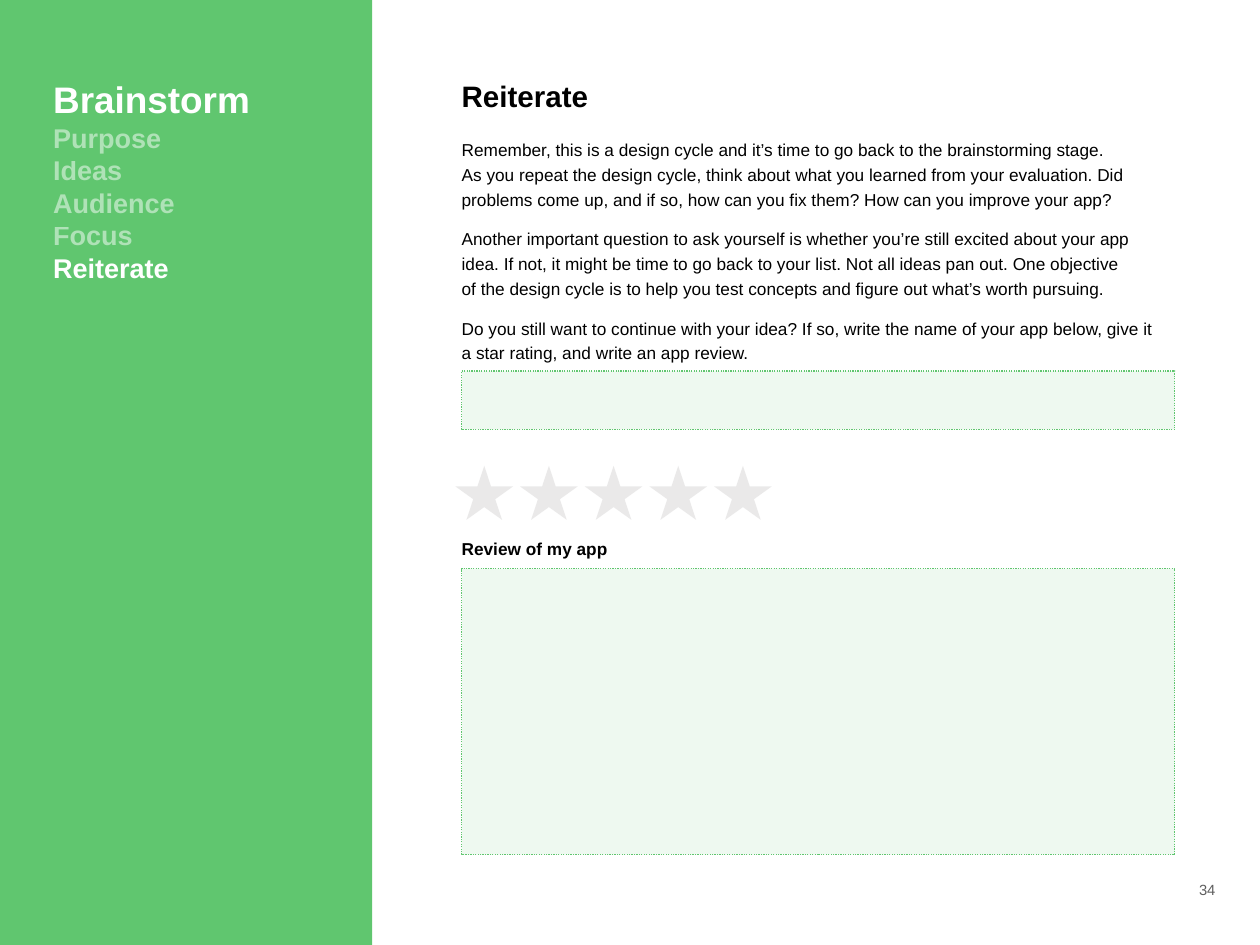
from pptx import Presentation
from pptx.dml.color import RGBColor
from pptx.enum.dml import MSO_LINE
from pptx.enum.shapes import MSO_SHAPE as SHAPE
from pptx.enum.text import MSO_ANCHOR as ANCHOR, MSO_AUTO_SIZE as AUTO, PP_ALIGN as ALIGN
from pptx.oxml.xmlchemy import OxmlElement
from pptx.util import Inches, Pt

GREEN, WHITE, BLACK, STAR_GREY, PAGE_GREY = "60C66F", "FFFFFF", "000000", "D6D5D5", "5E5E5E"

SECTION = "Brainstorm"
STEPS = ["Purpose", "Ideas", "Audience", "Focus", "Reiterate"]
TITLE = "Reiterate"
BODY = [
    ["Remember, this is a design cycle and it’s time to go back to the brainstorming stage.",
     "As you repeat the design cycle, think about what you learned from your evaluation. "
     "Did problems come up, and if so, how can you fix them? How can you improve your app?"],
    ["Another important question to ask yourself is whether you’re still excited about your app",
     "idea. If not, it might be time to go back to your list. Not all ideas pan out. One objective",
     "of the design cycle is to help you test concepts and figure out what’s worth pursuing."],
    ["Do you still want to continue with your idea? If so, write the name of your app below, "
     "give it a star rating, and write an app review."],
]
REVIEW_LABEL = "Review of my app"
PAGE = "34"

LEFT, FIELD_W = 5.21, 8.05
FIELDS = [(4.19, 0.66), (6.42, 3.23)]  # top, height: app name, review
STARS, STAR_LEFT, STAR_TOP, STAR_W, STAR_H, STAR_STEP = 5, 5.14, 5.26, 0.65, 0.61, 0.73


def set_color(fill, color, opacity=100):
    """Make a fill solid, with opacity in percent."""
    fill.solid()
    fill.fore_color.rgb = RGBColor.from_string(color)
    if opacity < 100:
        alpha = OxmlElement("a:alpha")
        alpha.set("val", str(opacity * 1000))
        fill._xPr.find(".//{*}srgbClr").append(alpha)


def add_box(kind, x, y, w, h, color, opacity=100, dotted=False):
    sp = slide.shapes.add_shape(kind, Inches(x), Inches(y), Inches(w), Inches(h))
    sp.shadow.inherit = False
    set_color(sp.fill, color, opacity)
    if dotted:
        set_color(sp.line.fill, color)
        sp.line.width = Pt(1)
        sp.line.dash_style = MSO_LINE.ROUND_DOT
    else:
        sp.line.fill.background()


def setup_frame(sp, x, y, w, h, inset=0, wrap=True, anchor=ANCHOR.TOP):
    """Place a text shape and return its text frame."""
    sp.left, sp.top, sp.width, sp.height = (Inches(v) for v in (x, y, w, h))
    tf = sp.text_frame
    tf.margin_left = tf.margin_right = tf.margin_top = tf.margin_bottom = Inches(inset)
    tf.word_wrap, tf.auto_size, tf.vertical_anchor = wrap, AUTO.NONE, anchor
    return tf


def add_text(*place, **options):
    return setup_frame(slide.shapes.add_textbox(0, 0, 0, 0), *place, **options)


def add_run(p, text, size, color, bold=False, opacity=100):
    r = p.add_run()
    r.text = text
    r.font.name, r.font.size, r.font.bold = "Arial", Pt(size), bold
    set_color(r.font.fill, color, opacity)


prs = Presentation()
prs.slide_width, prs.slide_height = Inches(14.22), Inches(10.67)
slide = prs.slides.add_slide(prs.slide_layouts[5])

tf = setup_frame(slide.shapes.title, LEFT, 0.89, 1.47, 0.39, wrap=False, anchor=ANCHOR.MIDDLE)
tf.paragraphs[0].alignment = ALIGN.LEFT
add_run(tf.paragraphs[0], TITLE, 24, BLACK, bold=True)

add_box(SHAPE.RECTANGLE, -0.03, -0.06, 4.23, 10.78, GREEN)
tf = add_text(0.54, 0.81, 2.6, 3.2, inset=0.06)
add_run(tf.paragraphs[0], SECTION, 30, WHITE, bold=True)
for step in STEPS:
    add_run(tf.add_paragraph(), step, 22, WHITE, bold=True, opacity=100 if step == TITLE else 50)

tf = add_text(LEFT, 1.53, 7.81, 2.41)
for i, lines in enumerate(BODY):
    p = tf.add_paragraph() if i else tf.paragraphs[0]
    p.line_spacing = 1.2
    if i:
        p.space_before = Pt(12)
    for j, line in enumerate(lines):
        if j:
            p.add_line_break()
        add_run(p, line, 14, BLACK)

tf = add_text(LEFT, 6.06, 1.66, 0.23, wrap=False, anchor=ANCHOR.MIDDLE)
tf.paragraphs[0].line_spacing = 1.2
add_run(tf.paragraphs[0], REVIEW_LABEL, 14, BLACK, bold=True)

for top, height in FIELDS:
    add_box(SHAPE.RECTANGLE, LEFT, top, FIELD_W, height, GREEN, opacity=10, dotted=True)

for i in range(STARS):
    add_box(SHAPE.STAR_5_POINT, STAR_LEFT + i * STAR_STEP, STAR_TOP, STAR_W, STAR_H,
            STAR_GREY, opacity=50)

tf = add_text(13.47, 9.88, 0.31, 0.3, inset=0.06, wrap=False)
tf.paragraphs[0].alignment = ALIGN.CENTER
add_run(tf.paragraphs[0], PAGE, 12, PAGE_GREY)

prs.save("out.pptx")
